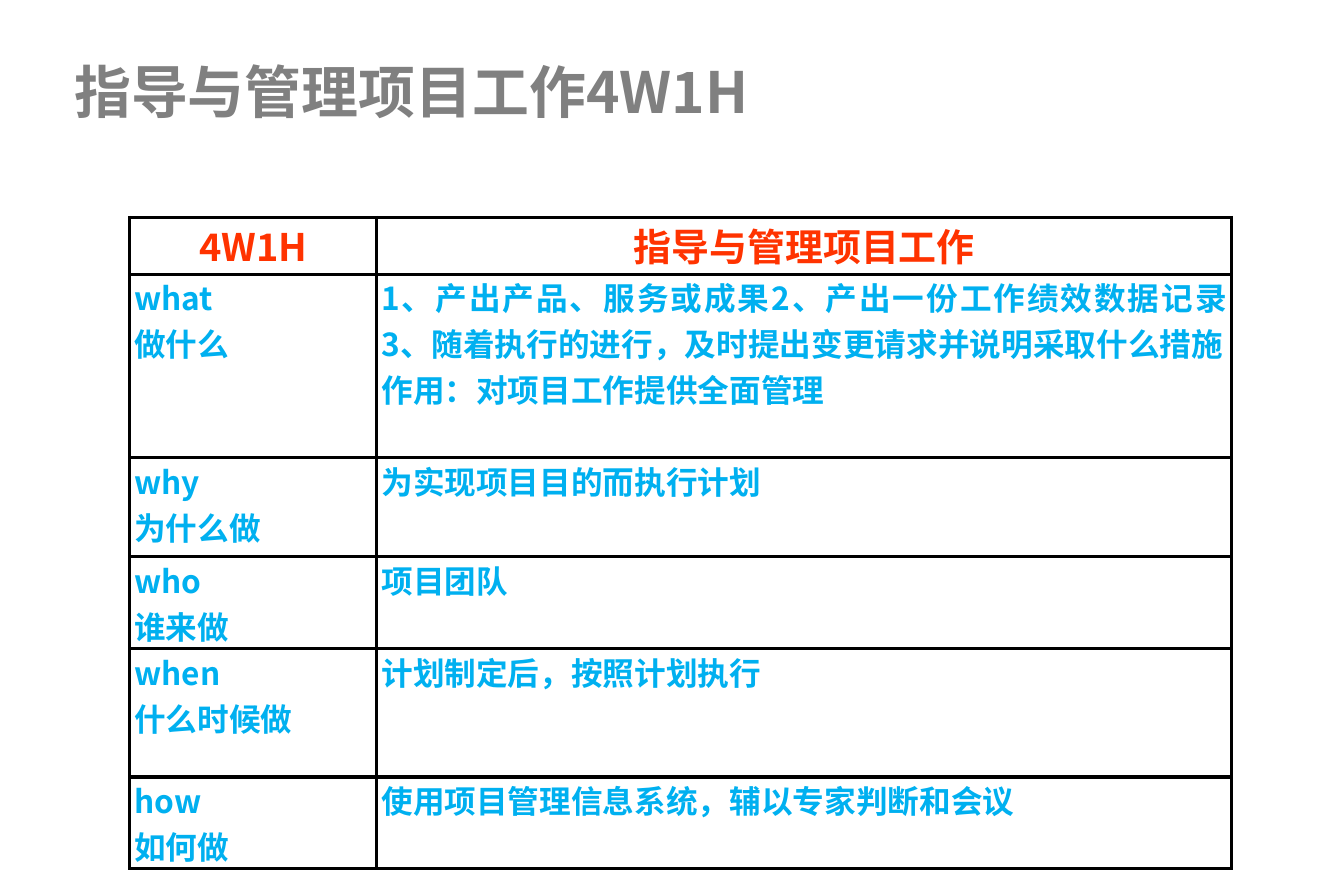
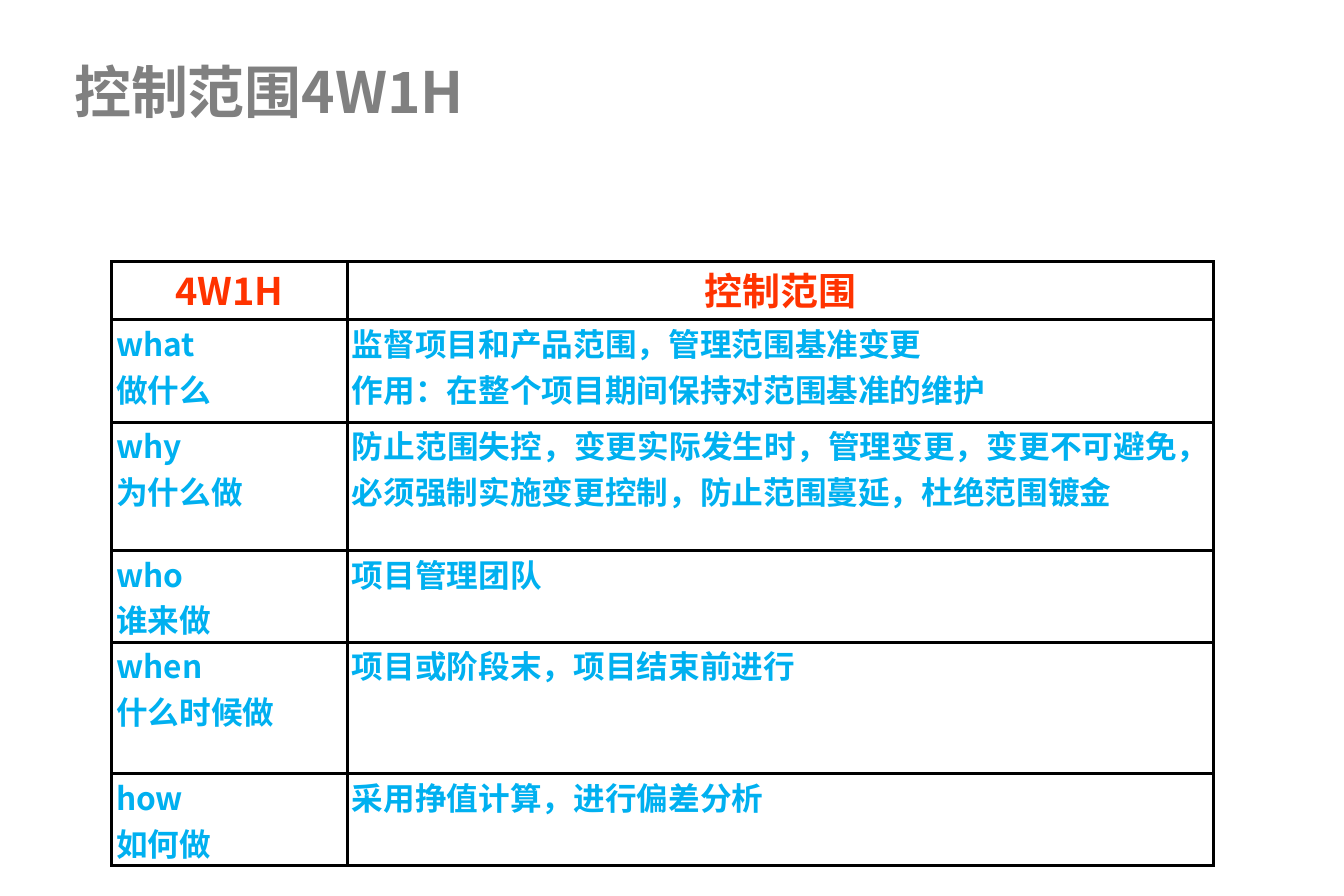
from lxml.etree import SubElement
from pptx import Presentation
from pptx.dml.color import RGBColor
from pptx.enum.text import MSO_ANCHOR, MSO_AUTO_SIZE, PP_ALIGN
from pptx.oxml import parse_xml
from pptx.oxml.ns import nsdecls, qn
from pptx.util import Pt

FONT = "Noto Sans CJK SC"
COLORS = {
    "title": "808080",
    "header": "FF3300",
    "body": "00B0F0",
    "border": "000000",
    "cell": "FFFFFF",
}
BORDER_WIDTH = Pt(2.25)
CELL_MARGIN = Pt(2.88)
QUESTIONS = ["what\n做什么", "why\n为什么做", "who\n谁来做", "when\n什么时候做", "how\n如何做"]

SLIDES = [
    {
        "topic": "指导与管理项目工作",
        "answers": [
            "1、产出产品、服务或成果2、产出一份工作绩效数据记录"
            "3、随着执行的进行，及时提出变更请求并说明采取什么措施\n"
            "作用：对项目工作提供全面管理",
            "为实现项目目的而执行计划",
            "项目团队",
            "计划制定后，按照计划执行",
            "使用项目管理信息系统，辅以专家判断和会议",
        ],
        "position": (82.1, 137.5),
        "columns": (156.4, 540.8),
        "rows": (36, 110.2, 62.8, 54, 81.2, 54),
    },
    {
        "topic": "控制范围",
        "answers": [
            "监督项目和产品范围，管理范围基准变更\n"
            "作用：在整个项目期间保持对范围基准的维护",
            "防止范围失控，变更实际发生时，管理变更，变更不可避免，"
            "必须强制实施变更控制，防止范围蔓延，杜绝范围镀金",
            "项目管理团队",
            "项目或阶段末，项目结束前进行",
            "采用挣值计算，进行偏差分析",
        ],
        "position": (70.6, 165.6),
        "columns": (149.2, 548),
        "rows": (36.7, 64.8, 81.2, 55.4, 83.4, 55.4),
    },
]


def write_text(text_frame, text, size, color, alignment):
    text_frame.text = text
    for paragraph in text_frame.paragraphs:
        paragraph.alignment = alignment
        for run in paragraph.runs:
            run.font.name = FONT
            run.font.size = Pt(size)
            run.font.bold = True
            run.font.color.rgb = RGBColor.from_string(COLORS[color])
            # East Asian text takes its typeface from a separate element
            SubElement(run.font._element, qn("a:ea")).set("typeface", FONT)


def add_borders(cell):
    properties = cell._tc.get_or_add_tcPr()
    for index, side in enumerate(("lnL", "lnR", "lnT", "lnB")):
        line = parse_xml(
            f'<a:{side} {nsdecls("a")} w="{BORDER_WIDTH}"><a:solidFill>'
            f'<a:srgbClr val="{COLORS["border"]}"/></a:solidFill></a:{side}>'
        )
        properties.insert(index, line)


def format_cell(cell, text, is_header):
    cell.margin_left = cell.margin_right = CELL_MARGIN
    cell.margin_top = cell.margin_bottom = 0
    cell.fill.solid()
    cell.fill.fore_color.rgb = RGBColor.from_string(COLORS["cell"])
    add_borders(cell)
    if is_header:
        write_text(cell.text_frame, text, 24, "header", PP_ALIGN.CENTER)
    else:
        write_text(cell.text_frame, text, 20, "body", PP_ALIGN.JUSTIFY)


def add_title(slide, text):
    title = slide.shapes.title
    title.left, title.top, title.width, title.height = Pt(39), Pt(35.3), Pt(765.4), Pt(44.6)
    frame = title.text_frame
    frame.auto_size = MSO_AUTO_SIZE.NONE
    frame.vertical_anchor = MSO_ANCHOR.MIDDLE
    frame.margin_left = frame.margin_right = Pt(7.9)
    frame.margin_top = frame.margin_bottom = Pt(4)
    write_text(frame, text, 36, "title", PP_ALIGN.LEFT)


def add_question_table(slide, content):
    records = [("4W1H", content["topic"]), *zip(QUESTIONS, content["answers"])]
    left, top = content["position"]
    columns, rows = content["columns"], content["rows"]
    table = slide.shapes.add_table(
        len(rows), len(columns), Pt(left), Pt(top), Pt(sum(columns)), Pt(sum(rows))
    ).table
    table.first_row = table.horz_banding = False
    for column, width in zip(table.columns, columns):
        column.width = Pt(width)
    for row_index, (row, height, record) in enumerate(zip(table.rows, rows, records)):
        row.height = Pt(height)
        for cell, text in zip(row.cells, record):
            format_cell(cell, text, is_header=row_index == 0)


def main():
    presentation = Presentation()
    presentation.slide_width, presentation.slide_height = Pt(850.5), Pt(567)
    title_only = presentation.slide_layouts[5]
    for content in SLIDES:
        slide = presentation.slides.add_slide(title_only)
        add_title(slide, content["topic"] + "4W1H")
        add_question_table(slide, content)
    presentation.save("out.pptx")


if __name__ == "__main__":
    main()
